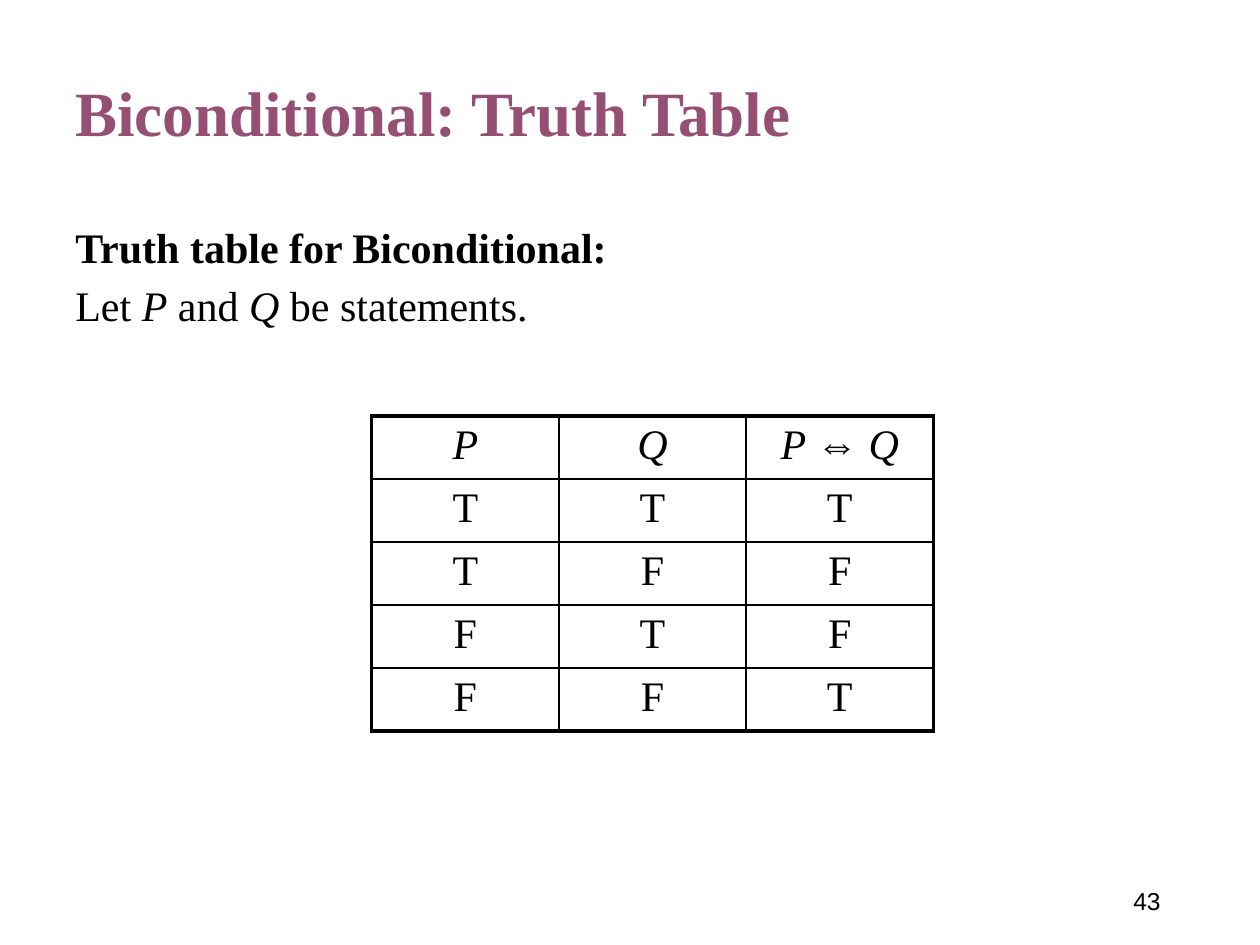
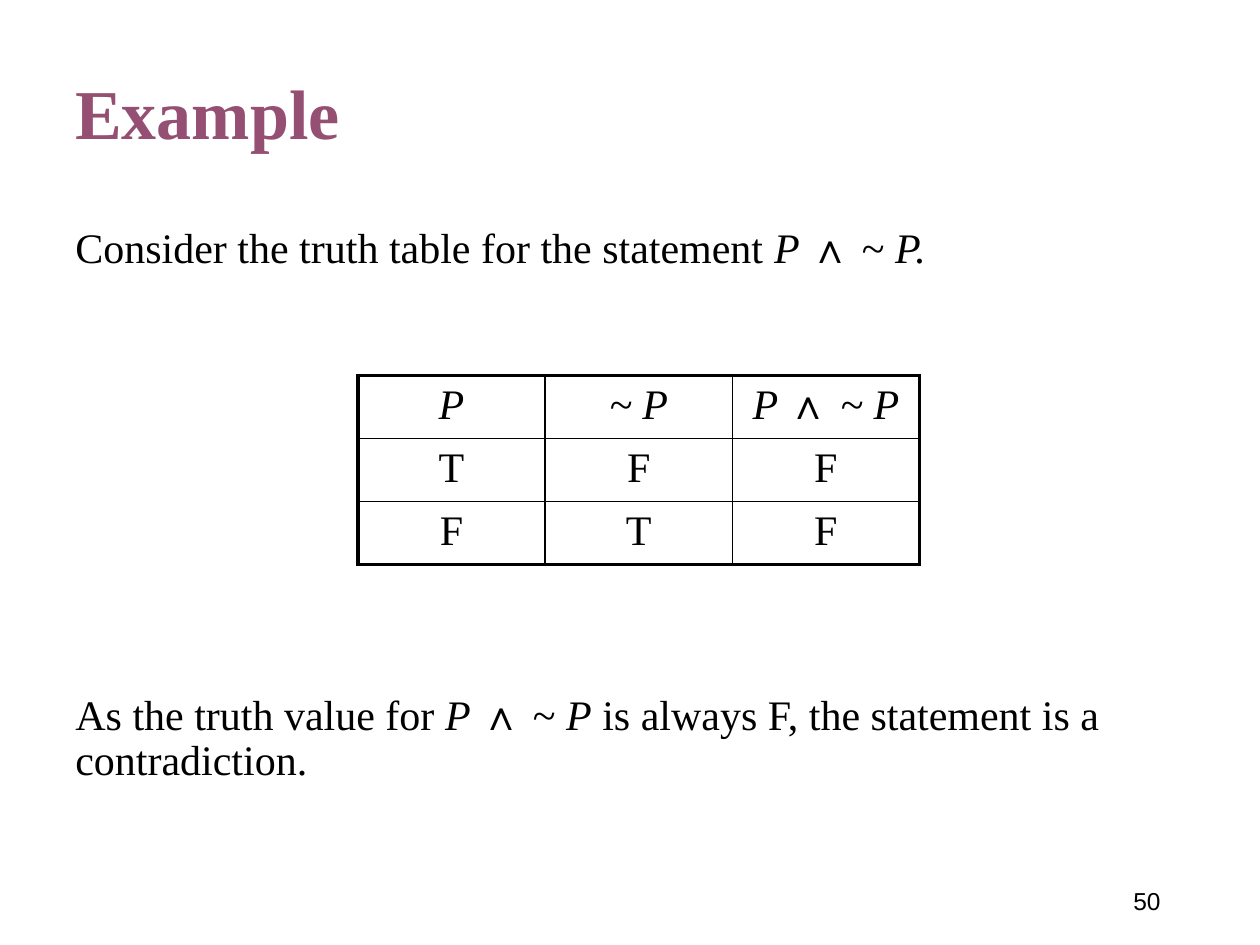
from pptx import Presentation
from pptx.dml.color import RGBColor
from pptx.enum.text import MSO_ANCHOR as Anchor, PP_ALIGN as Align
from pptx.oxml import parse_xml
from pptx.oxml.ns import nsdecls
from pptx.util import Pt

PLUM = RGBColor(0x95, 0x4F, 0x72)
BLACK = RGBColor(0, 0, 0)
SERIF, SANS = "Times New Roman", "Arial"
TEXT_SIZE = 24
OUTER, INNER = 2.25, 1  # table rule widths

# Boxes are left, top, width, height in points
TITLE_BOX = (36, 21.6, 648, 90)
BODY_BOX = (36, 126, 645.84, 356.4)
NUMBER_BOX = (508.32, 500.4, 162, 28.8)
COLUMN_WIDTH, ROW_HEIGHT = 107, 36


def style(para, size, color=BLACK, name=SERIF, bold=False):
    font = para.font
    font.size, font.name, font.bold = Pt(size), name, bold
    font.color.rgb = color


def write(para, text):
    """Add the text as runs; parts between asterisks are italic."""
    for index, part in enumerate(text.split("*")):
        if part:
            span = para.add_run()
            span.text = part
            if index % 2:
                span.font.italic = True


def add_box(page, box, anchor=Anchor.MIDDLE):
    frame = page.shapes.add_textbox(*map(Pt, box)).text_frame
    frame.word_wrap = True
    frame.vertical_anchor = anchor
    return frame


def add_title(page, box, text, size):
    para = add_box(page, box).paragraphs[0]
    para.line_spacing = 0.9
    style(para, size, PLUM, bold=True)
    write(para, text)


def add_body(page, box, lines):
    """Each line is (text, bold, space before)."""
    frame = add_box(page, box, Anchor.TOP)
    for index, (text, bold, gap) in enumerate(lines):
        para = frame.add_paragraph() if index else frame.paragraphs[0]
        para.line_spacing, para.space_before = 0.9, Pt(gap)
        style(para, TEXT_SIZE, bold=bold)
        write(para, text)


def add_number(page, box, number):
    para = add_box(page, box).paragraphs[0]
    para.alignment = Align.RIGHT
    style(para, 14, name=SANS)
    write(para, str(number))


def set_borders(cell, widths):
    properties = cell._tc.get_or_add_tcPr()
    for index, (side, width) in enumerate(zip("LRTB", widths)):
        properties.insert(index, parse_xml(
            f'<a:ln{side} {nsdecls("a")} w="{Pt(width)}"><a:solidFill>'
            f'<a:srgbClr val="{BLACK}"/></a:solidFill></a:ln{side}>'))


def add_truth_table(page, left, top, header, values):
    rows = [header, *values]
    row_count, column_count = len(rows), len(header)
    table = page.shapes.add_table(
        row_count, column_count, Pt(left), Pt(top),
        Pt(COLUMN_WIDTH * column_count), Pt(ROW_HEIGHT * row_count)).table
    table.first_row = table.horz_banding = False
    for r, row in enumerate(rows):
        for c, text in enumerate(row):
            cell = table.cell(r, c)
            cell.fill.background()
            # Heavy frame around the table, thin rules inside
            at_edge = (c == 0, c == column_count - 1, r == 0, r == row_count - 1)
            set_borders(cell, [OUTER if edge else INNER for edge in at_edge])
            para = cell.text_frame.paragraphs[0]
            para.alignment = Align.CENTER
            style(para, TEXT_SIZE)
            write(para, text)


def add_page(deck, title, title_size, lines, number):
    page = deck.slides.add_slide(deck.slide_layouts[6])
    add_title(page, TITLE_BOX, title, title_size)
    add_body(page, BODY_BOX, lines)
    add_number(page, NUMBER_BOX, number)
    return page


deck = Presentation()
deck.slide_width, deck.slide_height = Pt(720), Pt(540)

# Biconditional
page = add_page(deck, "Biconditional: Truth Table", 36, [
    ("Truth table for Biconditional:", True, 7.5),
    ("Let *P* and *Q *be statements.", False, 7.5),
], 43)
add_truth_table(page, 212.4, 237.6, ["*P*", "*Q*", "*P *⇔ *Q*"],
                ["TTT", "TFF", "FTF", "FFT"])

# Contradiction example; the wide gap leaves room for the table
page = add_page(deck, "Example", 40, [
    ("Consider the truth table for the statement *P *∧ ~ *P.*", False, 7.5),
    ("As the truth value for *P *∧ ~ *P* is always F, "
     "the statement is a contradiction.", False, 241),
], 50)
add_truth_table(page, 204.5, 214.5, ["*P*", "*~ P*", "*P *∧ *~ P*"],
                ["TFF", "FTF"])

deck.save("out.pptx")
